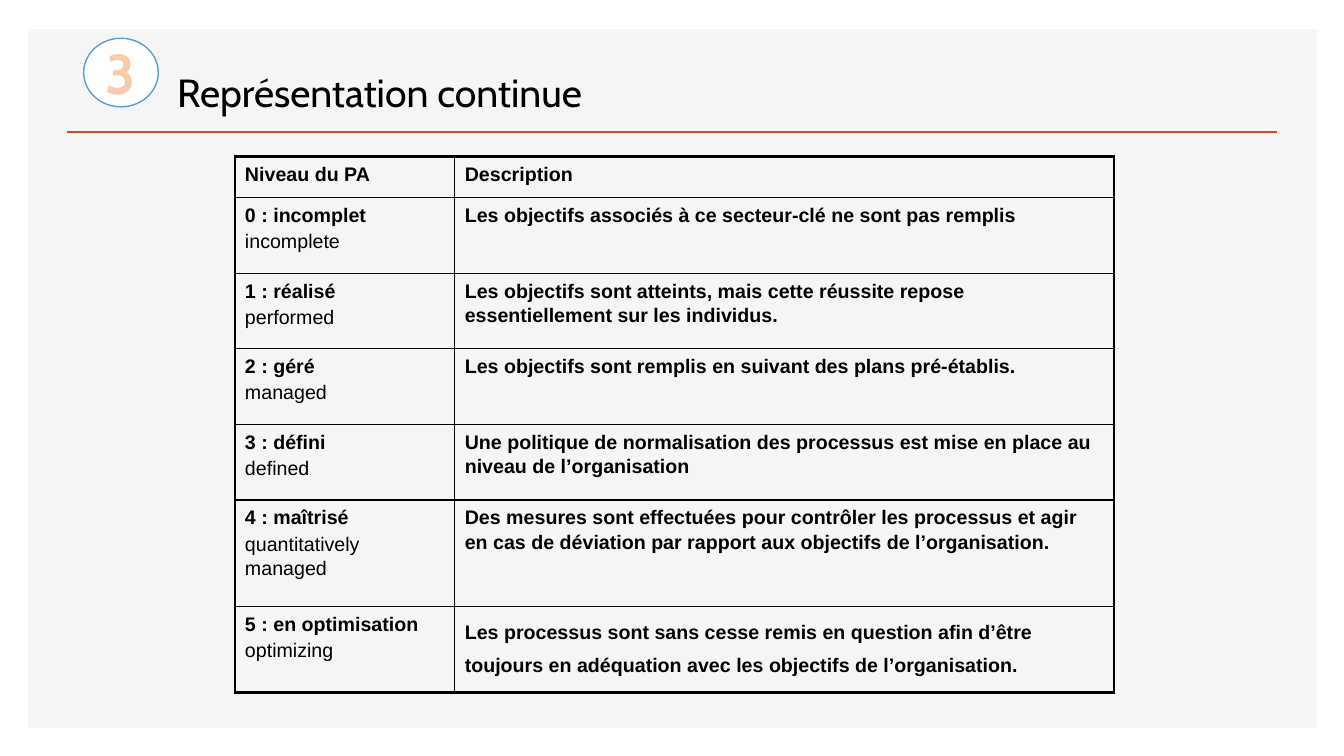
from dataclasses import dataclass

from lxml import etree
from pptx import Presentation
from pptx import util as u
from pptx.dml.color import RGBColor
from pptx.enum import shapes, text
from pptx.oxml import ns


@dataclass(frozen=True)
class Theme:
    panel: str = "F5F5F5"
    rule: str = "D24726"
    ink: str = "000000"
    badge_fill: str = "FFFFFF"
    badge_line: str = "5B9BD5"
    badge_text: str = "F8CBAD"
    heading_font: str = "Cabin"
    body_font: str = "Arial"
    title_size: int = 28
    badge_size: int = 40
    body_size: int = 14
    thin: float = 1
    thick: float = 2.25


THEME = Theme()
EMU_PER_PX = 9144
COLUMN_WIDTHS = (218, 654)
ROW_HEIGHTS = (41, 75, 75, 75, 75, 106, 85)
LEVELS = (
    ("0 : incomplet", "incomplete",
     "Les objectifs associés à ce secteur-clé ne sont pas remplis"),
    ("1 : réalisé", "performed",
     "Les objectifs sont atteints, mais cette réussite repose "
     "essentiellement sur les individus."),
    ("2 : géré", "managed",
     "Les objectifs sont remplis en suivant des plans pré-établis."),
    ("3 : défini", "defined",
     "Une politique de normalisation des processus est mise en place "
     "au niveau de l’organisation"),
    ("4 : maîtrisé", "quantitatively managed",
     "Des mesures sont effectuées pour contrôler les processus et agir "
     "en cas de déviation par rapport aux objectifs de l’organisation."),
    ("5 : en optimisation", "optimizing",
     "Les processus sont sans cesse remis en question afin d’être "
     "toujours en adéquation avec les objectifs de l’organisation."),
)


def px(*lengths):
    """Turn pixel lengths into EMU."""
    return [u.Emu(length * EMU_PER_PX) for length in lengths]


def style(paragraph, font, size, color, bold=False):
    """Set the font of a whole paragraph."""
    paragraph.font.name = font
    paragraph.font.size = u.Pt(size)
    paragraph.font.bold = bold
    paragraph.font.color.rgb = RGBColor.from_string(color)


def add_filled(slide, kind, box, fill, line=None):
    """Add a flat preset shape with an optional thin outline."""
    shape = slide.shapes.add_shape(kind, *px(*box))
    shape.shadow.inherit = False
    shape.fill.solid()
    shape.fill.fore_color.rgb = RGBColor.from_string(fill)
    if line:
        shape.line.color.rgb = RGBColor.from_string(line)
        shape.line.width = u.Pt(THEME.thin)
    else:
        shape.line.fill.background()
    return shape


def add_rule(slide, start, end):
    """Draw the coloured line under the title."""
    rule = slide.shapes.add_connector(
        shapes.MSO_CONNECTOR.STRAIGHT, *px(*start, *end))
    rule.line.color.rgb = RGBColor.from_string(THEME.rule)
    rule.line.width = u.Pt(2)
    etree.SubElement(rule.element.spPr, ns.qn("a:effectLst"))


def add_title(slide, wording, box):
    """Add the slide title, seated on the bottom of its box."""
    frame = slide.shapes.add_textbox(*px(*box)).text_frame
    frame.word_wrap = True
    frame.vertical_anchor = text.MSO_ANCHOR.BOTTOM
    frame.text = wording
    style(frame.paragraphs[0], THEME.heading_font, THEME.title_size, THEME.ink)


def add_badge(slide, number, box):
    """Add the round section number."""
    badge = add_filled(slide, shapes.MSO_SHAPE.OVAL, box,
                       THEME.badge_fill, THEME.badge_line)
    frame = badge.text_frame
    frame.vertical_anchor = text.MSO_ANCHOR.MIDDLE
    frame.text = number
    digit = frame.paragraphs[0]
    digit.alignment = text.PP_ALIGN.CENTER
    style(digit, THEME.heading_font, THEME.badge_size, THEME.badge_text, True)


def set_borders(cell, outer_edges):
    """Draw the four cell borders, thicker on the table's outer edges."""
    properties = cell._tc.get_or_add_tcPr()
    for edge in "LRTB":
        width = THEME.thick if edge in outer_edges else THEME.thin
        border = etree.SubElement(properties, ns.qn(f"a:ln{edge}"),
                                  w=str(u.Pt(width)))
        fill = etree.SubElement(border, ns.qn("a:solidFill"))
        etree.SubElement(fill, ns.qn("a:srgbClr"), val=THEME.ink)


def fill_cell(cell, lines, spacing):
    """Write a bold first line and any plain lines below it."""
    cell.text = "\n".join(lines)
    for index, paragraph in enumerate(cell.text_frame.paragraphs):
        paragraph.line_spacing = spacing
        if index:
            paragraph.space_before = u.Pt(THEME.body_size * 0.1)
        style(paragraph, THEME.body_font, THEME.body_size, THEME.ink, not index)


def add_levels_table(slide, left, top):
    """Add the table of capability levels."""
    rows = [(["Niveau du PA"], ["Description"])]
    rows += [([french, english], [description])
             for french, english, description in LEVELS]
    last = len(rows) - 1
    table = slide.shapes.add_table(
        len(rows), len(COLUMN_WIDTHS),
        *px(left, top, sum(COLUMN_WIDTHS), sum(ROW_HEIGHTS))).table
    table.first_row = table.horz_banding = False
    for column, width in zip(table.columns, px(*COLUMN_WIDTHS)):
        column.width = width
    for row, height in zip(table.rows, px(*ROW_HEIGHTS)):
        row.height = height
    for r, row in enumerate(rows):
        for c, lines in enumerate(row):
            cell = table.cell(r, c)
            fill_cell(cell, lines, 1.47 if (r, c) == (last, 1) else 1.1)
            set_borders(cell, "LR"[c] + {0: "T", last: "B"}.get(r, ""))
            cell.fill.background()


def main():
    """Build and save the slide."""
    deck = Presentation()
    deck.slide_width, deck.slide_height = px(1333, 750)
    slide = deck.slides.add_slide(deck.slide_layouts[6])
    add_filled(slide, shapes.MSO_SHAPE.RECTANGLE, (28, 29, 1278, 693), THEME.panel)
    add_rule(slide, (66, 131), (1267, 131))
    add_title(slide, "Représentation continue", (166, 49, 643, 70))
    add_levels_table(slide, 233, 155)
    add_badge(slide, "3", (83, 38, 74, 68))
    deck.save("out.pptx")


if __name__ == "__main__":
    main()
